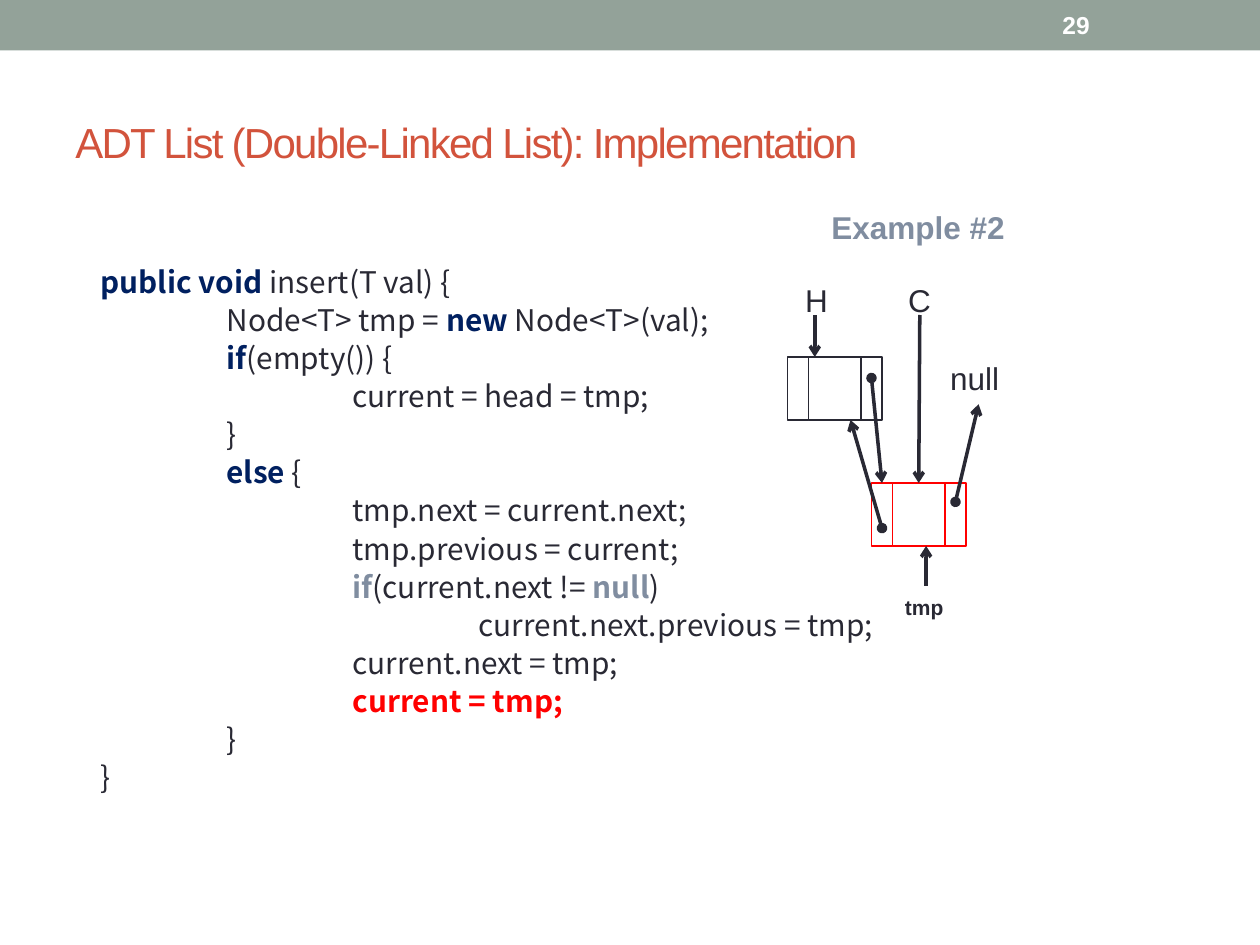
"""Build a slide on inserting a node into a double-linked list."""
from dataclasses import dataclass

from lxml import etree
from pptx import Presentation
from pptx.dml.color import RGBColor
from pptx.enum.shapes import MSO_CONNECTOR, MSO_SHAPE
from pptx.enum.text import MSO_ANCHOR
from pptx.oxml.ns import qn
from pptx.util import Inches, Pt

RECTANGLE = MSO_SHAPE.RECTANGLE
STRAIGHT = MSO_CONNECTOR.STRAIGHT
TOP, MIDDLE = MSO_ANCHOR.TOP, MSO_ANCHOR.MIDDLE
COLUMNS, ROWS = 120, 90
CELL = Inches(10) / COLUMNS


@dataclass(frozen=True)
class Theme:
    bar: str = "93A299"
    title: str = "D2533C"
    ink: str = "292934"
    keyword: str = "002060"
    muted: str = "808DA0"
    accent: str = "FF0000"
    white: str = "FFFFFF"
    font: str = "Arial"
    code_font: str = "Noto Sans CJK SC"
    title_size: float = 24
    label_size: float = 18
    code_size: float = 17
    code_pitch: float = 21.8
    page_size: float = 14
    small_size: float = 12
    arrow_width: float = 2
    node_width: float = 0.75


THEME = Theme()

CODE = [
    (0, [("public void ", THEME.keyword), ("insert(T val) {", None)]),
    (1, [("Node<T> tmp = ", None), ("new", THEME.keyword), (" Node<T>(val);", None)]),
    (1, [("if", THEME.keyword), ("(empty()) {", None)]),
    (2, [("current = head = tmp;", None)]),
    (1, [("}", None)]),
    (1, [("else", THEME.keyword), (" {", None)]),
    (2, [("tmp.next = current.next;", None)]),
    (2, [("tmp.previous = current;", None)]),
    (2, [("if", THEME.muted), ("(current.next != ", None), ("null", THEME.muted), (")", None)]),
    (3, [("current.next.previous = tmp;", None)]),
    (2, [("current.next = tmp;", None)]),
    (2, [("current = tmp;", THEME.accent)]),
    (1, [("}", None)]),
    (0, [("}", None)]),
]

LABELS = [
    ("null", (89.3, 33.6, 7.9, 4.8), THEME.label_size, THEME.ink, False),
    ("H", (75.5, 26.2, 4.7, 4.8), THEME.label_size, THEME.ink, False),
    ("C", (85.3, 26.2, 4.7, 4.8), THEME.label_size, THEME.ink, False),
    ("tmp", (85, 56, 6.4, 3.6), THEME.small_size, THEME.ink, True),
    ("Example #2", (78, 19.2, 19.7, 4.8), THEME.label_size, THEME.muted, True),
]

POINTERS = [
    ((77.6, 30), (77.6, 34), False),
    ((87.6, 30), (87.5, 46), False),
    ((91, 47.8), (93.2, 38.5), True),
    ((84, 50.3), (81, 40), True),
    ((83, 36), (84, 46), True),
    ((88.2, 55.8), (88.2, 52), False),
]


def grid(*cells):
    """Turn grid columns and rows into slide lengths."""
    return [round(cell * CELL) for cell in cells]


def style(font, size, color, bold=False, name=THEME.font):
    """Set the look of a font."""
    font.name, font.size, font.bold = name, Pt(size), bold
    font.color.rgb = RGBColor.from_string(color)


def add_label(slide, text, box, size, color, bold=False, wrap=False, anchor=TOP):
    """Add a one-line text box and return its paragraph."""
    frame = slide.shapes.add_textbox(*grid(*box)).text_frame
    frame.word_wrap, frame.vertical_anchor = wrap, anchor
    paragraph = frame.paragraphs[0]
    paragraph.text = text
    style(paragraph.font, size, color, bold)
    return paragraph


def add_title(slide, text):
    """Add the title with tightened letter spacing."""
    paragraph = add_label(slide, text, (6, 7, 108, 13), THEME.title_size,
                          THEME.title, wrap=True, anchor=MIDDLE)
    paragraph.runs[0].font._element.set("spc", "-100")


def add_bar(slide, page):
    """Add the top bar with the page number."""
    bar = slide.shapes.add_shape(RECTANGLE, *grid(0, 0, COLUMNS, 4.8))
    bar.shadow.inherit = False
    bar.fill.solid()
    bar.fill.fore_color.rgb = RGBColor.from_string(THEME.bar)
    bar.line.fill.background()
    add_label(slide, page, (100, 0.25, 14, 4.3), THEME.page_size,
              THEME.white, bold=True, wrap=True, anchor=MIDDLE)


def add_code(slide, lines):
    """Add the listing, one indented paragraph a line."""
    frame = slide.shapes.add_textbox(*grid(6, 21, 108, 64)).text_frame
    frame.word_wrap, frame.margin_top = True, Inches(0.32)
    for index, (level, parts) in enumerate(lines):
        paragraph = frame.add_paragraph() if index else frame.paragraphs[0]
        paragraph.line_spacing = Pt(THEME.code_pitch)
        paragraph._p.get_or_add_pPr().set("marL", str(Inches(0.2 + level)))
        for text, color in parts:
            run = paragraph.add_run()
            run.text = text
            style(run.font, THEME.code_size, color or THEME.ink,
                  color is not None, THEME.code_font)


def add_node(slide, column, row, color):
    """Add a list node: previous, value and next cells in one group."""
    group = slide.shapes.add_group_shape()
    for width in (2, 5, 2):
        cell = group.shapes.add_shape(RECTANGLE, *grid(column, row, width, 6))
        cell.shadow.inherit = False
        cell.fill.background()
        cell.line.color.rgb = RGBColor.from_string(color)
        cell.line.width = Pt(THEME.node_width)
        column += width


def add_pointer(slide, start, end, dotted):
    """Add an arrow, with a dot at its start when dotted."""
    pointer = slide.shapes.add_connector(STRAIGHT, *grid(*start, *end))
    pointer.line.color.rgb = RGBColor.from_string(THEME.ink)
    pointer.line.width = Pt(THEME.arrow_width)
    line = pointer.line._get_or_add_ln()
    if dotted:
        etree.SubElement(line, qn("a:headEnd"), type="oval")
    etree.SubElement(line, qn("a:tailEnd"), type="arrow")
    etree.SubElement(pointer._element.spPr, qn("a:effectLst"))


def main():
    """Build and save the slide."""
    presentation = Presentation()
    presentation.slide_width, presentation.slide_height = grid(COLUMNS, ROWS)
    slide = presentation.slides.add_slide(presentation.slide_layouts[6])
    add_bar(slide, "29")
    add_title(slide, "ADT List (Double-Linked List): Implementation")
    add_code(slide, CODE)
    add_node(slide, 75, 34, THEME.ink)
    add_node(slide, 83, 46, THEME.accent)
    for pointer in POINTERS:
        add_pointer(slide, *pointer)
    for label in LABELS:
        add_label(slide, *label)
    presentation.save("out.pptx")


if __name__ == "__main__":
    main()
